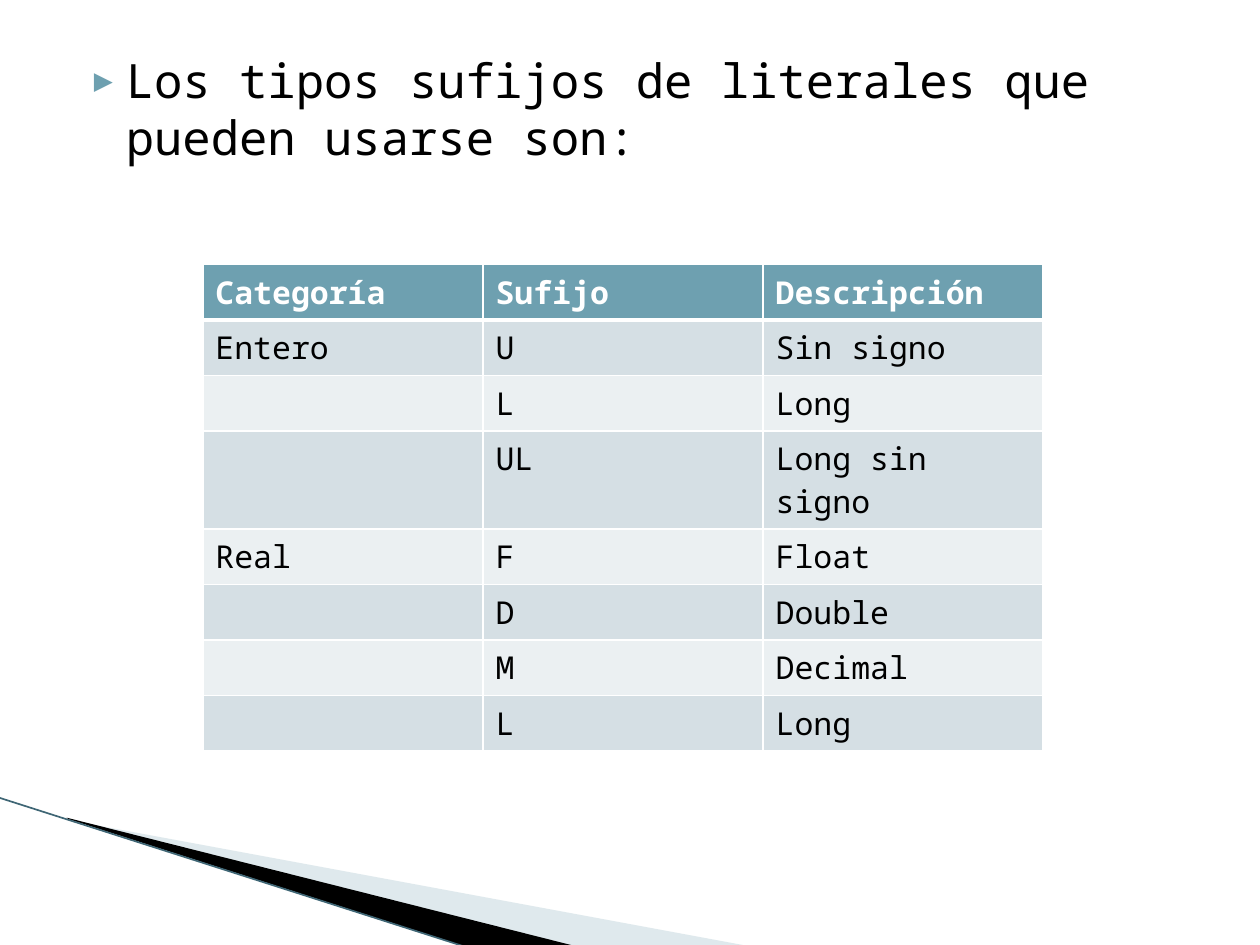
from lxml.etree import SubElement
from pptx import Presentation
from pptx.dml.color import RGBColor
from pptx.enum.shapes import MSO_CONNECTOR
from pptx.oxml.ns import qn
from pptx.util import Inches, Pt

FONT = "Noto Sans Mono"
HUES = {"teal": "6EA0B0", "pale": "B1C9D2", "edge": "3F6675", "black": "000000",
        "white": "FFFFFF", "dark": "D5DFE4", "light": "EBF0F2"}


def hue(name):
    return RGBColor.from_string(HUES[name])


def add(node, tag, **attrs):
    return SubElement(node, qn(tag), {k: str(v) for k, v in attrs.items()})


deck = Presentation()
deck.slide_width, deck.slide_height = Inches(10), Inches(7.5)
unit = deck.slide_width // 1000  # the grid: a thousandth of the slide's width
slide = deck.slides.add_slide(deck.slide_layouts[6])
shapes = slide.shapes

# Corner wedges
wedges = [
    ("pale", 40, [(55, 651), (595, 751), (456, 751), (55, 650)]),
    ("black", 100, [(53, 649), (457, 751), (372, 752), (54, 650)]),
]
for name, alpha, points in wedges:
    pen = shapes.build_freeform(*points[0], scale=unit)
    pen.add_line_segments(points[1:], close=True)
    wedge = pen.convert_to_shape()
    wedge.shadow.inherit = False
    wedge.line.fill.background()
    wedge.fill.solid()
    wedge.fill.fore_color.rgb = hue(name)
    if alpha < 100:
        tint = wedge._element.spPr.find(".//" + qn("a:srgbClr"))
        add(tint, "a:alpha", val=alpha * 1000)

# Corner edge
edge = shapes.add_connector(MSO_CONNECTOR.STRAIGHT, -unit, 633 * unit,
                            371 * unit, 752 * unit)
edge.line.color.rgb = hue("edge")
edge.line.width = Pt(0.95)
add(edge._element.spPr, "a:effectLst")

# Bulleted sentence, hung wide enough for the bullet to clear the text
box = shapes.add_textbox(50 * unit, 36 * unit, 900 * unit, 621 * unit)
box.text_frame.word_wrap = True
line = box.text_frame.paragraphs[0]
line.text = "Los tipos sufijos de literales que pueden usarse son:"
line.space_before = Pt(4)
line.font.name, line.font.size = FONT, Pt(27)
line.font.color.rgb = hue("black")
props = line._p.get_or_add_pPr()
props.set("marL", str(40 * unit))
props.set("indent", str(-33 * unit))
add(add(props, "a:buClr"), "a:srgbClr", val=HUES["teal"])
add(props, "a:buSzPct", val=68000)
add(props, "a:buFont", typeface=FONT)
add(props, "a:buChar", char="▶")
props.append(props.find(qn("a:defRPr")))  # the schema wants it last

# Suffix table
rows = [
    ("Categoría", "Sufijo", "Descripción"),
    ("Entero", "U", "Sin signo"),
    ("", "L", "Long"),
    ("", "UL", "Long sin signo"),
    ("Real", "F", "Float"),
    ("", "D", "Double"),
    ("", "M", "Decimal"),
    ("", "L", "Long"),
]
single, double = 44 * unit, 78 * unit  # heights for one and two lines of text
table = shapes.add_table(len(rows), 3, 161 * unit, 210 * unit,
                         667 * unit, len(rows) * single).table
for r, row in enumerate(rows):
    head = r == 0
    fill = "teal" if head else "dark" if r % 2 else "light"
    wraps = max(map(len, row)) > 12
    table.rows[r].height = double if wraps else single
    for c, text in enumerate(row):
        cell = table.cell(r, c)
        cell.text = text
        font = cell.text_frame.paragraphs[0].font
        font.name, font.size, font.bold = FONT, Pt(18), head
        font.color.rgb = hue("white" if head else "black")

        # Borders come before the fill, with a thick rule below the header
        trim = cell._tc.get_or_add_tcPr()
        for side in "LRTB":
            thick = (head and side == "B") or (r == 1 and side == "T")
            rule = add(trim, "a:ln" + side, w=Pt(3 if thick else 1))
            add(add(rule, "a:solidFill"), "a:srgbClr", val=HUES["white"])
        cell.fill.solid()
        cell.fill.fore_color.rgb = hue(fill)

deck.save("out.pptx")
